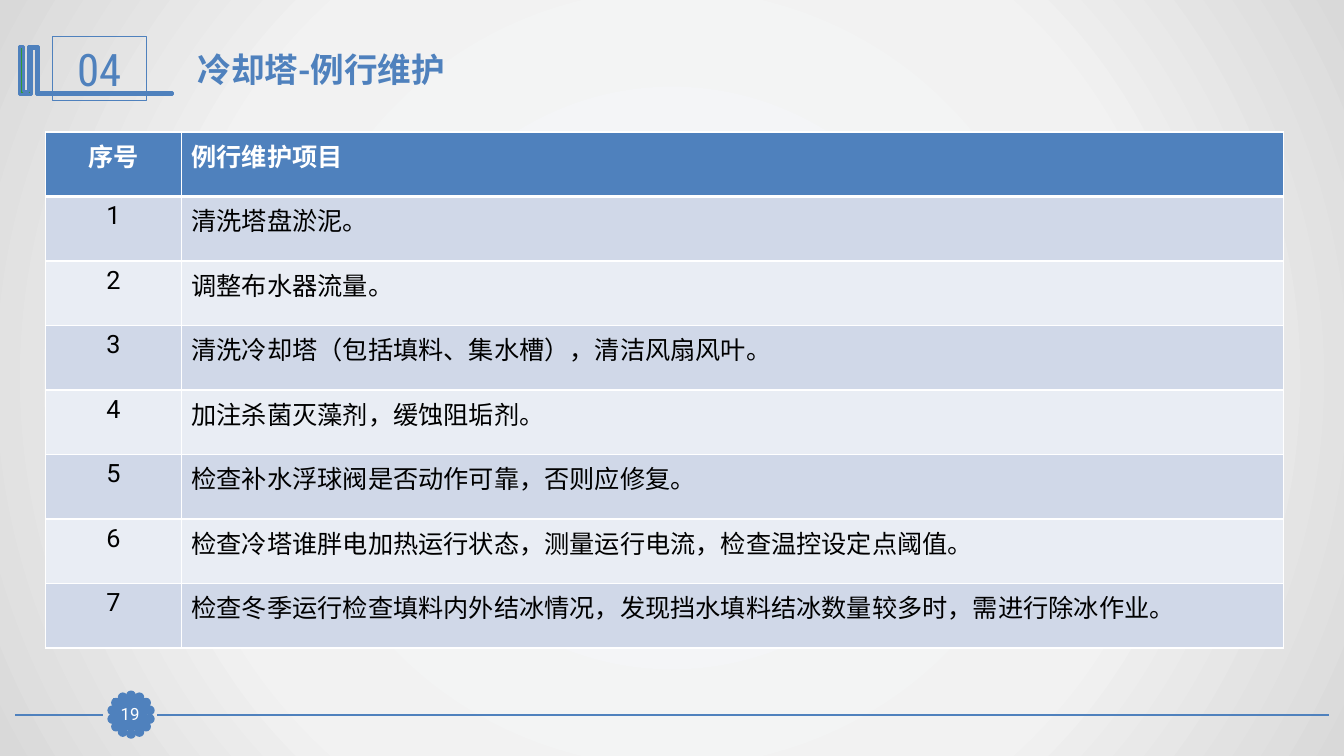
import math

import pptx
import pptx.dml.color
import pptx.enum.shapes
import pptx.enum.text
import pptx.oxml
import pptx.oxml.ns
import pptx.util
from pptx.util import Inches

BLUE = pptx.dml.color.RGBColor(0x4F, 0x81, 0xBD)
GREEN = pptx.dml.color.RGBColor(0x33, 0x99, 0x33)
WHITE = pptx.dml.color.RGBColor(0xFF, 0xFF, 0xFF)
BLACK = pptx.dml.color.RGBColor(0, 0, 0)
BANDS = (pptx.dml.color.RGBColor(0xD0, 0xD8, 0xE8), pptx.dml.color.RGBColor(0xE9, 0xED, 0xF4))
BACKDROP = ((0, "F6F9FC"), (63, "F2F2F2"), (100, "D9D9D9"))
CJK = "Noto Sans CJK SC"
CENTER = pptx.enum.text.PP_ALIGN.CENTER
LEFT = pptx.enum.text.PP_ALIGN.LEFT
MIDDLE = pptx.enum.text.MSO_ANCHOR.MIDDLE
SHAPES = pptx.enum.shapes.MSO_SHAPE
NS = pptx.oxml.ns.nsdecls("a")

TASKS = [
    "清洗塔盘淤泥。",
    "调整布水器流量。",
    "清洗冷却塔（包括填料、集水槽），清洁风扇风叶。",
    "加注杀菌灭藻剂，缓蚀阻垢剂。",
    "检查补水浮球阀是否动作可靠，否则应修复。",
    "检查冷塔谁胖电加热运行状态，测量运行电流，检查温控设定点阈值。",
    "检查冬季运行检查填料内外结冰情况，发现挡水填料结冰数量较多时，需进行除冰作业。",
]
BRACKET = [(37, 46), (38, 46), (38, 92), (171, 92), (171, 94), (36, 94), (36, 48), (31, 48),
           (31, 94), (19, 94), (19, 46), (23, 46), (23, 91), (28, 91), (28, 46)]


class MaintenanceSlide:
    """Draws the elements of the maintenance slide in one shared style."""

    def __init__(self, slide):
        self.slide = slide
        self.shapes = slide.shapes

    def backdrop(self, stops):
        stop_xml = "".join(f'<a:gs pos="{pos * 1000}"><a:srgbClr val="{color}"/></a:gs>'
                           for pos, color in stops)
        self.slide.background.fill.solid()
        properties = self.slide.element.cSld.find(".//" + pptx.oxml.ns.qn("p:bgPr"))
        properties.replace(properties[0], pptx.oxml.parse_xml(
            f'<a:gradFill {NS} rotWithShape="1"><a:gsLst>{stop_xml}</a:gsLst><a:path path="circle">'
            '<a:fillToRect l="50000" t="50000" r="50000" b="50000"/></a:path></a:gradFill>'))

    def text(self, frame, words, align, color, **font_format):
        paragraph = frame.paragraphs[0]
        paragraph.alignment = align
        run = paragraph.add_run()
        run.text = words
        for key, value in font_format.items():
            setattr(run.font, key, value)
        run.font.color.rgb = color
        run.font._element.append(pptx.oxml.parse_xml(f'<a:ea {NS} typeface="{CJK}"/>'))

    def paint(self, shape, fill, width):
        shape.shadow.inherit = False
        if fill is None:
            shape.fill.background()
        else:
            shape.fill.solid()
            shape.fill.fore_color.rgb = fill
        shape.line.color.rgb = BLUE
        shape.line.width = pptx.util.Pt(width)
        return shape

    def shape(self, kind, box, fill, width):
        return self.paint(self.shapes.add_shape(kind, *map(Inches, box)), fill, width)

    def label(self, box, words, fill, color, **font_format):
        frame = self.shape(SHAPES.RECTANGLE, box, fill, 0.75).text_frame
        frame.vertical_anchor = MIDDLE
        for side in ("left", "top", "right", "bottom"):
            setattr(frame, f"margin_{side}", 0)
        self.text(frame, words, CENTER, color, **font_format)

    def title(self, box, words, **font_format):
        frame = self.shapes.add_textbox(*map(Inches, box)).text_frame
        frame.word_wrap = True
        self.text(frame, words, LEFT, BLUE, **font_format)

    def rule(self, start, end, y):
        rule = self.shapes.add_connector(pptx.enum.shapes.MSO_CONNECTOR.STRAIGHT,
                                         Inches(start), Inches(y), Inches(end), Inches(y))
        rule.line.color.rgb = BLUE
        rule.line.width = pptx.util.Pt(1.25)
        rule._element.spPr.append(pptx.oxml.parse_xml(f"<a:effectLst {NS}/>"))

    def outline(self, points):
        builder = self.shapes.build_freeform(*points[0], scale=Inches(0.01))
        builder.add_line_segments(points[1:], close=True)
        self.paint(builder.convert_to_shape(), GREEN, 2)

    def rosette(self, x, y, radius, size, count):
        for petal in range(count):
            angle = 2 * math.pi * petal / count
            left = x + radius * math.sin(angle) - size / 2
            top = y - radius * math.cos(angle) - size / 2
            self.shape(SHAPES.OVAL, (left, top, size, size), BLUE, 2)

    def cell(self, cell, words, align, fill, color, borders, bold):
        properties = cell._tc.get_or_add_tcPr()
        for side, width in borders.items():
            properties.append(pptx.oxml.parse_xml(
                f'<a:ln{side} {NS} w="{int(pptx.util.Pt(width))}"><a:solidFill>'
                f'<a:srgbClr val="{WHITE}"/></a:solidFill></a:ln{side}>'))
        cell.fill.solid()
        cell.fill.fore_color.rgb = fill
        self.text(cell.text_frame, words, align, color,
                  name="Roboto", size=pptx.util.Pt(18), bold=bold)

    def table(self, left, top, widths, row_height, rows):
        table = self.shapes.add_table(len(rows), len(widths), Inches(left), Inches(top),
                                      Inches(sum(widths)), Inches(row_height * len(rows))).table
        for column, width in zip(table.columns, widths):
            column.width = Inches(width)
        for r, row in enumerate(rows):
            table.rows[r].height = Inches(row_height)
            header = r == 0
            borders = {"L": 1, "R": 1, "T": 3 if r == 1 else 1, "B": 3 if header else 1}
            for c, words in enumerate(row):
                self.cell(table.cell(r, c), words, LEFT if c else CENTER,
                          BLUE if header else BANDS[(r - 1) % 2],
                          WHITE if header else BLACK, borders, header)


def main():
    deck = pptx.Presentation()
    deck.slide_width, deck.slide_height = Inches(13.33), Inches(7.5)
    page = MaintenanceSlide(deck.slides.add_slide(deck.slide_layouts[6]))
    page.backdrop(BACKDROP)
    page.rule(13.18, 1.56, 7.09)
    page.rule(1.02, 0.15, 7.09)
    page.rosette(1.3, 7.09, 0.19, 0.07, 14)
    page.outline(BRACKET)
    page.label((0.52, 0.36, 0.93, 0.64), "04", None, BLUE,
               name="Roboto Condensed", size=pptx.util.Pt(32))
    page.label((1.13, 6.93, 0.32, 0.31), "19", BLUE, WHITE,
               name="Roboto", size=pptx.util.Pt(12))
    page.title((1.86, 0.44, 9.69, 0.5), "冷却塔-例行维护",
               name=CJK, size=pptx.util.Pt(24), bold=True)
    rows = [("序号", "例行维护项目")] + [(str(n), task) for n, task in enumerate(TASKS, 1)]
    page.table(0.45, 1.31, (1.35, 10.93), 0.64, rows)
    deck.save("out.pptx")


if __name__ == "__main__":
    main()
